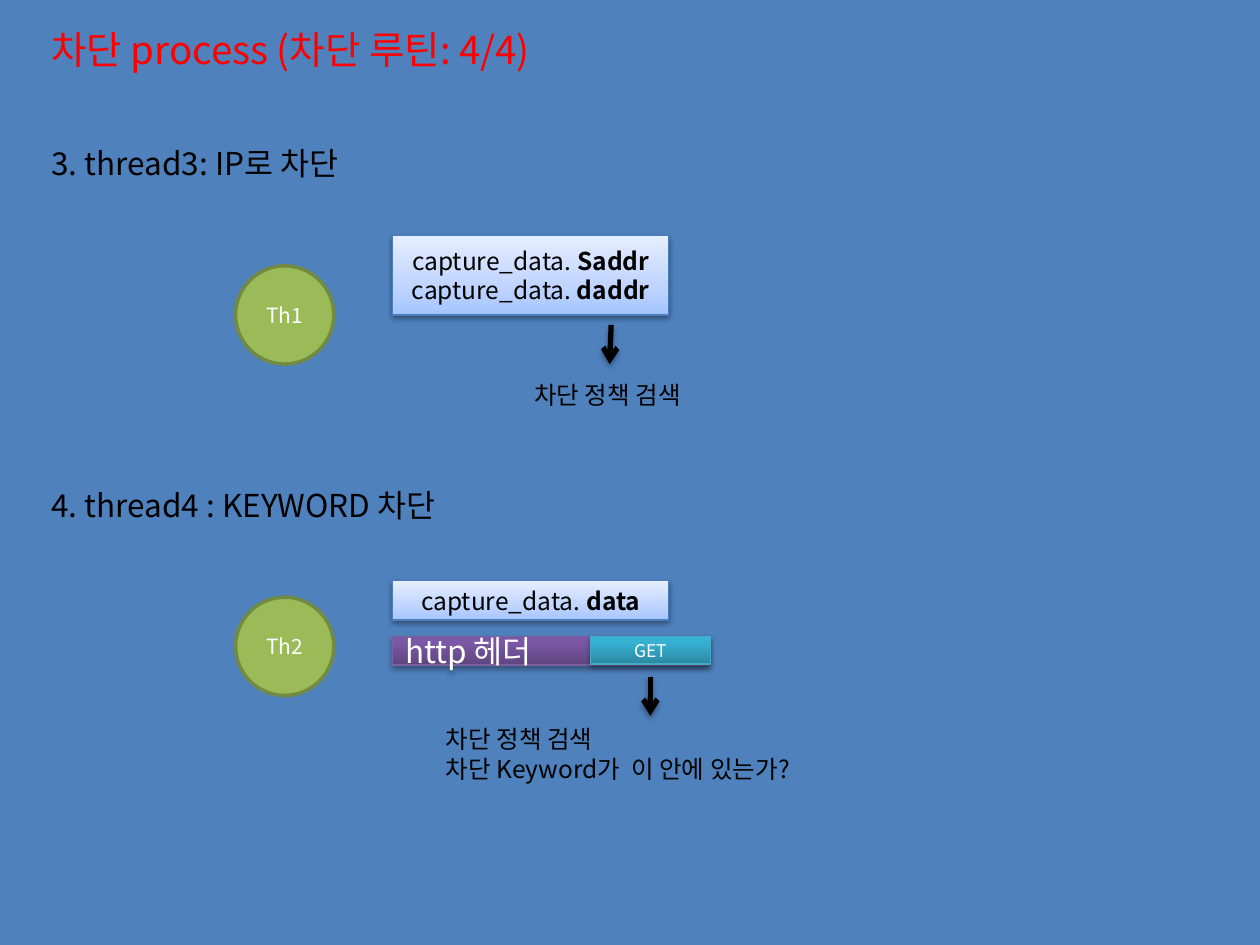
"""Build the slide on the blocking routine of threads 3 and 4."""
from copy import deepcopy
from typing import NamedTuple

from lxml import etree
from pptx import Presentation
from pptx.dml.color import RGBColor
from pptx.enum.shapes import MSO_CONNECTOR, MSO_SHAPE
from pptx.enum.text import MSO_ANCHOR, MSO_AUTO_SIZE, PP_ALIGN
from pptx.oxml import parse_xml
from pptx.oxml.ns import nsdecls, qn
from pptx.util import Cm, Pt

RECTANGLE, OVAL = MSO_SHAPE.RECTANGLE, MSO_SHAPE.OVAL
STRAIGHT = MSO_CONNECTOR.STRAIGHT
LEFT, CENTER = PP_ALIGN.LEFT, PP_ALIGN.CENTER
TOP, MIDDLE = MSO_ANCHOR.TOP, MSO_ANCHOR.MIDDLE
GROW = MSO_AUTO_SIZE.SHAPE_TO_FIT_TEXT

FONT = "Noto Sans CJK KR"
BLACK, WHITE, RED = "000000", "FFFFFF", "FF0000"
BACKGROUND = "4F81BD"
THREAD_FILL, THREAD_EDGE = "9BBB59", "738A42"
MARGIN, THREAD_LEFT, THREAD_SIZE, DATA_LEFT = 0.79, 4.75, 1.98, 7.92
ARROW_LENGTH, HANGING = 0.79, 0.95


class Look(NamedTuple):
    """Gradient, edge, text and shadow of a kind of data box."""
    stops: tuple
    edge: str
    color: str
    size: float
    opacity: int = 35
    distance: float = 1.8


class Box(NamedTuple):
    """A labelled area, in centimetres."""
    text: str
    left: float
    top: float
    width: float
    height: float


class DataBox(NamedTuple):
    """A box with its look and text alignment."""
    box: Box
    look: Look
    align: PP_ALIGN = CENTER


class Label(NamedTuple):
    """A free text with its format."""
    box: Box
    size: float = 14
    color: str = BLACK
    indent: float = 0


class Arrow(NamedTuple):
    """A downward arrow between two horizontal positions."""
    start: float
    end: float
    top: float


CAPTURE = Look(((0, "A4C4FF"), (0.35, "BFD4FF"), (1, "E6EEFF")), "4B7EBC", BLACK, 14, 38, 1.6)
HEADER = Look(((0, "5F4480"), (0.8, "7B58A6"), (1, "7C57A8")), "7D60A0", WHITE, 18)
REQUEST = Look(((0, "2A88A2"), (0.8, "37B1D2"), (1, "34B4D6")), "46AAC5", WHITE, 10)

THREADS = (("Th1", 5.36), ("Th2", 12.04))
DATA_BOXES = (
    DataBox(Box("capture_data. *Saddr*\ncapture_data. *daddr*", DATA_LEFT, 4.75, 5.56, 1.6), CAPTURE),
    DataBox(Box("capture_data.* data*", DATA_LEFT, 11.71, 5.56, 0.79), CAPTURE),
    DataBox(Box("http 헤더", DATA_LEFT, 12.83, 6.35, 0.58), HEADER, LEFT),
    DataBox(Box("GET", 11.91, 12.83, 2.41, 0.56), REQUEST),
)
ARROWS = (Arrow(12.32, 12.29, 6.55), Arrow(13.11, 13.11, 13.64))
LABELS = (
    Label(Box("차단 process (차단 루틴: 4/4)", MARGIN, 0.41, 12.5, 1.19), 22, RED),
    Label(Box("3. thread3: IP로 차단", MARGIN, 2.77, 12.7, 1.02), 18, indent=HANGING),
    Label(Box("4. thread4 : KEYWORD 차단", MARGIN, 9.68, 12.7, 1.02), 18, indent=HANGING),
    Label(Box("차단 정책 검색", 10.52, 7.54, 3.96, 0.86)),
    Label(Box("차단 정책 검색\n차단 Keyword가  이 안에 있는가?", 8.74, 14.48, 8.94, 1.45)),
)


def rgb(value: str) -> RGBColor:
    """Turn a hex string into a colour."""
    return RGBColor.from_string(value)


def write(shape, text: str, *, size: float, color: str, align=LEFT, anchor=TOP, indent: float = 0):
    """Write lines of text, with bold parts between asterisks."""
    frame = shape.text_frame
    frame.word_wrap = True
    frame.vertical_anchor = anchor
    for number, line in enumerate(text.split("\n")):
        paragraph = frame.add_paragraph() if number else frame.paragraphs[0]
        paragraph.alignment = align
        if indent:
            properties = paragraph._p.get_or_add_pPr()
            properties.set("marL", str(Cm(indent)))
            properties.set("indent", str(-Cm(indent)))
        for index, part in enumerate(line.split("*")):
            if not part:
                continue
            run = paragraph.add_run()
            run.text = part
            run.font.size = Pt(size)
            run.font.bold = index % 2 == 1
            run.font.name = FONT
            run.font.color.rgb = rgb(color)
            etree.SubElement(run.font._element, qn("a:ea"), typeface=FONT)


def cast_shadow(item, opacity: int = 35, distance: float = 1.8):
    """Give a shape or connector a soft shadow below it."""
    item.element.spPr.append(parse_xml(
        f'<a:effectLst {nsdecls("a")}><a:outerShdw blurRad="{Pt(3.1)}" dist="{Pt(distance)}" '
        f'dir="5400000" rotWithShape="0"><a:srgbClr val="{BLACK}"><a:alpha val="{opacity * 1000}"/>'
        "</a:srgbClr></a:outerShdw></a:effectLst>"))


def fill_gradient(shape, stops: tuple):
    """Fill a shape with a gradient that runs upwards."""
    shape.fill.gradient()
    shape.fill.gradient_angle = 90
    stop_list = shape.element.spPr.find(".//" + qn("a:gsLst"))
    stop_list.append(deepcopy(stop_list[-1]))
    for stop, (position, color) in zip(shape.fill.gradient_stops, stops):
        stop.position = position
        stop.color.rgb = rgb(color)


def add_outlined(slide, kind, box: Box, edge: str, weight: float):
    """Add a preset shape with its outline."""
    shape = slide.shapes.add_shape(kind, *map(Cm, box[1:]))
    shape.line.color.rgb = rgb(edge)
    shape.line.width = Pt(weight)
    return shape


def add_thread(slide, name: str, top: float):
    """Add the circle of a thread."""
    box = Box(name, THREAD_LEFT, top, THREAD_SIZE, THREAD_SIZE)
    circle = add_outlined(slide, OVAL, box, THREAD_EDGE, 2)
    circle.shadow.inherit = False
    circle.fill.solid()
    circle.fill.fore_color.rgb = rgb(THREAD_FILL)
    write(circle, name, size=12, color=WHITE, align=CENTER, anchor=MIDDLE)


def add_data_box(slide, data: DataBox):
    """Add a shaded box of captured data."""
    look = data.look
    shape = add_outlined(slide, RECTANGLE, data.box, look.edge, 0.75)
    fill_gradient(shape, look.stops)
    cast_shadow(shape, look.opacity, look.distance)
    write(shape, data.box.text, size=look.size, color=look.color, align=data.align, anchor=MIDDLE)


def add_arrow(slide, arrow: Arrow):
    """Add a downward arrow."""
    ends = (arrow.start, arrow.top, arrow.end, arrow.top + ARROW_LENGTH)
    connector = slide.shapes.add_connector(STRAIGHT, *map(Cm, ends))
    connector.line.color.rgb = rgb(BLACK)
    connector.line.width = Pt(3)
    etree.SubElement(connector.element.spPr.find(qn("a:ln")), qn("a:tailEnd"), type="arrow")
    cast_shadow(connector)


def add_label(slide, label: Label):
    """Add a free text."""
    textbox = slide.shapes.add_textbox(*map(Cm, label.box[1:]))
    write(textbox, label.box.text, size=label.size, color=label.color, indent=label.indent)
    textbox.text_frame.auto_size = GROW


def main():
    """Build and save the slide."""
    deck = Presentation()
    deck.slide_width, deck.slide_height = Cm(25.4), Cm(19.05)
    slide = deck.slides.add_slide(deck.slide_layouts[6])
    slide.background.fill.solid()
    slide.background.fill.fore_color.rgb = rgb(BACKGROUND)
    for name, top in THREADS:
        add_thread(slide, name, top)
    for data in DATA_BOXES:
        add_data_box(slide, data)
    for arrow in ARROWS:
        add_arrow(slide, arrow)
    for label in LABELS:
        add_label(slide, label)
    deck.save("out.pptx")


if __name__ == "__main__":
    main()
